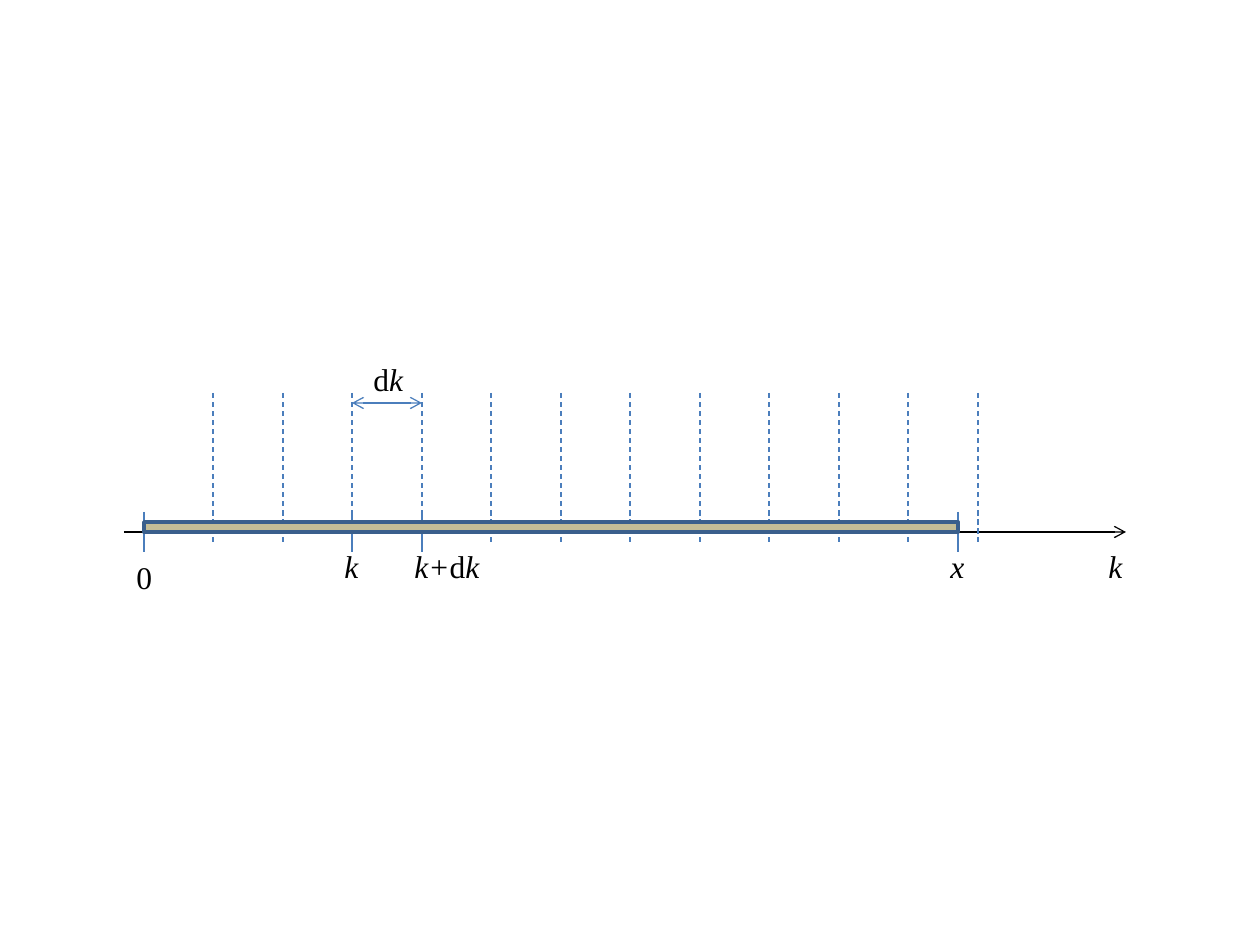
from lxml import etree
from pptx import Presentation
from pptx.dml.color import RGBColor
from pptx.enum import dml, shapes, text
from pptx.util import Pt
from pptx.oxml.ns import qn

SCALE = 914400 / 126
BLACK = RGBColor(0x00, 0x00, 0x00)
BLUE = RGBColor(0x4B, 0x7E, 0xBC)
NAVY = RGBColor(0x3A, 0x5F, 0x8C)
TAN = RGBColor(0xC4, 0xBD, 0x97)


def px(*sizes):
    """Turn pixels into EMU."""
    return [round(size * SCALE) for size in sizes]


def line(slide, x1, y1, x2, y2, color=BLUE, dash=False, ends=()):
    """Draw a thin line, with arrowheads at the named ends."""
    link = slide.shapes.add_connector(
        shapes.MSO_CONNECTOR.STRAIGHT, *px(x1, y1, x2, y2))
    link.line.color.rgb = color
    link.line.width = Pt(0.75)
    if dash:
        link.line.dash_style = dml.MSO_LINE.DASH
    props = link._element.spPr
    for end in ends:
        etree.SubElement(props.find(qn("a:ln")), qn("a:" + end), type="arrow")
    etree.SubElement(props, qn("a:effectLst"))


def label(slide, x, y, parts, width=69):
    """Write a label from pairs of wording and italic flag."""
    box = slide.shapes.add_textbox(*px(x, y, width, 50))
    frame = box.text_frame
    frame.word_wrap = True
    frame.auto_size = text.MSO_AUTO_SIZE.SHAPE_TO_FIT_TEXT
    para = frame.paragraphs[0]
    para.font.name = "Times New Roman"
    para.font.size = Pt(18)
    para.font.color.rgb = BLACK
    for word, slant in parts:
        run = para.add_run()
        run.text = word
        run.font.italic = slant


def bar(slide, x, y, width, height):
    """Draw the filled bar along the axis."""
    rect = slide.shapes.add_shape(
        shapes.MSO_SHAPE.RECTANGLE, *px(x, y, width, height))
    rect.shadow.inherit = False
    rect.fill.solid()
    rect.fill.fore_color.rgb = TAN
    rect.line.color.rgb = NAVY
    rect.line.width = Pt(2)


def axis(slide, left, top, width):
    """Draw the divided axis with its marks and labels."""
    base, start, span = top + 178, left + 20, 814
    grid = [start + i * 139 // 2 for i in range(13)]
    near, far, last = grid[3], grid[4], start + span
    line(slide, left, base, left + width, base, BLACK, ends=["tailEnd"])
    for x in grid[1:]:
        line(slide, x, top + 39, x, base + 10, dash=True)
    for x in (start, near, far, last):
        line(slide, x, base - 20, x, base + 20)
    line(slide, near, top + 49, far, top + 49, ends=["headEnd", "tailEnd"])
    label(slide, near + 9, top, [("d", False), ("k", True)])
    label(slide, start - 20, base + 20, [("0", False)])
    for x, word in ((near, "k"), (last, "x"), (left + width - 10, "k")):
        label(slide, x - 20, base + 9, [(word, True)])
    label(slide, far - 20, base + 9,
          [("k+", True), ("d", False), ("k", True)], 139)
    bar(slide, start, base - 10, span, 10)


deck = Presentation()
deck.slide_width, deck.slide_height = px(1260, 945)
page = deck.slides.add_slide(deck.slide_layouts[6])
axis(page, 124, 354, 1002)
deck.save("out.pptx")
